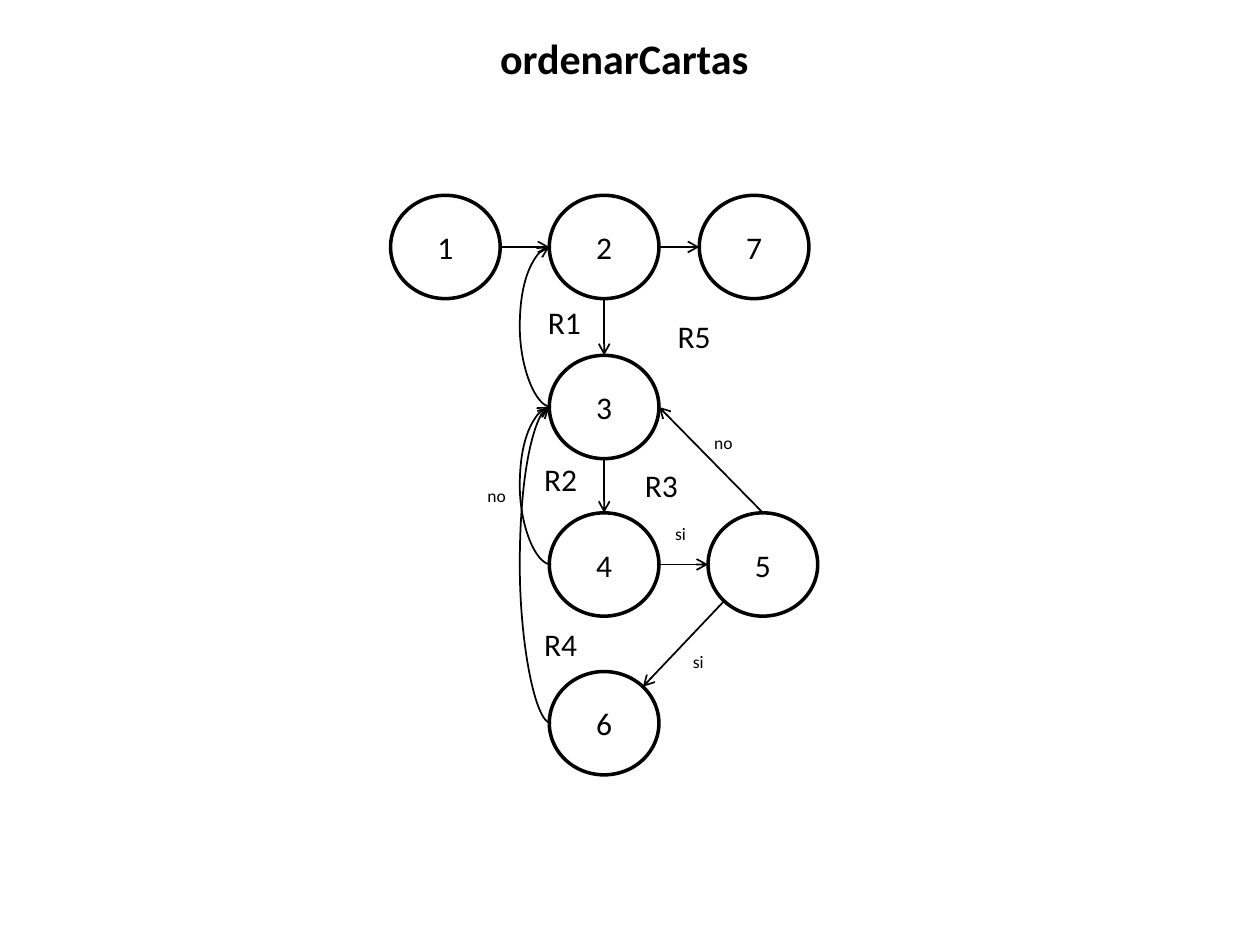
from math import cos, pi, sin

from lxml import etree
from pptx import Presentation
from pptx.dml.color import RGBColor
from pptx.enum.shapes import MSO_CONNECTOR, MSO_SHAPE
from pptx.enum.text import MSO_ANCHOR, MSO_AUTO_SIZE, PP_ALIGN
from pptx.oxml.ns import qn
from pptx.util import Inches, Pt

BLACK = RGBColor(0, 0, 0)
FONT = "Calibri"
NODE_W, NODE_H = 0.87, 0.82

# Left and top of each node of the flow graph
NODES = {
    "1": (3.1, 1.55), "2": (4.36, 1.55), "7": (5.55, 1.55),
    "3": (4.36, 2.82),
    "4": (4.36, 4.07), "5": (5.62, 4.07),
    "6": (4.36, 5.33),
}
# Angles, clockwise from the right, where edges meet a node
RIGHT, LOWER_RIGHT, BOTTOM, LOWER_LEFT, LEFT = 0, 45, 90, 135, 180
TOP, UPPER_RIGHT = 270, 315

STRAIGHT_EDGES = [
    ("1", RIGHT, "2", LEFT), ("2", RIGHT, "7", LEFT),
    ("2", BOTTOM, "3", TOP), ("3", BOTTOM, "4", TOP),
    ("4", RIGHT, "5", LEFT), ("5", LOWER_LEFT, "6", UPPER_RIGHT),
    ("5", TOP, "3", RIGHT),
]
LOOP_BACKS = [("6", "3"), ("4", "3"), ("3", "2")]

BRANCHES = [("si", 5.26, 4.1), ("si", 5.4, 5.12),
            ("no", 5.57, 3.38), ("no", 3.77, 3.8)]
REGIONS = [("R1", 4.25, 2.36), ("R2", 4.22, 3.6), ("R3", 5.02, 3.65),
           ("R4", 4.22, 4.91), ("R5", 5.28, 2.47)]


def style_text(frame, text, size, align, bold=False):
    frame.text = text
    paragraph = frame.paragraphs[0]
    paragraph.alignment = align
    font = paragraph.font
    font.name, font.size, font.bold = FONT, Pt(size), bold
    font.color.rgb = BLACK


def set_title(slide, text):
    title = slide.shapes.title
    title.left, title.top = Inches(1.05), Inches(0.21)
    title.width, title.height = Inches(7.81), Inches(0.5)
    title.text_frame.vertical_anchor = MSO_ANCHOR.TOP
    style_text(title.text_frame, text, 24, PP_ALIGN.CENTER, bold=True)


def add_node(slide, number, left, top):
    node = slide.shapes.add_shape(MSO_SHAPE.OVAL, Inches(left), Inches(top),
                                  Inches(NODE_W), Inches(NODE_H))
    node.shadow.inherit = False
    node.fill.background()
    node.line.color.rgb = BLACK
    node.line.width = Pt(2)
    node.text_frame.vertical_anchor = MSO_ANCHOR.MIDDLE
    style_text(node.text_frame, number, 18, PP_ALIGN.CENTER)


def rim_point(number, angle):
    left, top = NODES[number]
    turn = angle * pi / 180
    return (Inches(left + NODE_W / 2 * (1 + cos(turn))),
            Inches(top + NODE_H / 2 * (1 + sin(turn))))


def add_arrow(slide, kind, start, end):
    arrow = slide.shapes.add_connector(kind, *start, *end)
    arrow.line.color.rgb = BLACK
    arrow.line.width = Pt(1)
    etree.SubElement(arrow.line._get_or_add_ln(), qn("a:tailEnd"), type="arrow")
    etree.SubElement(arrow._element.spPr, qn("a:effectLst"))
    return arrow


def add_loop_back(slide, source, target):
    # The bend is a multiple of the width, so the ends sit one point apart
    x, y = rim_point(source, LEFT)
    curve = add_arrow(slide, MSO_CONNECTOR.CURVE, (x + Pt(1), y),
                      rim_point(target, LEFT))
    adjustments = curve._element.spPr.prstGeom.get_or_add_avLst()
    etree.SubElement(adjustments, qn("a:gd"), name="adj1", fmla="val 1800000")


def add_label(slide, text, left, top, width, height, size):
    label = slide.shapes.add_textbox(Inches(left), Inches(top),
                                     Inches(width), Inches(height))
    label.text_frame.word_wrap = False
    label.text_frame.auto_size = MSO_AUTO_SIZE.SHAPE_TO_FIT_TEXT
    style_text(label.text_frame, text, size, PP_ALIGN.LEFT)


def main():
    prs = Presentation()
    prs.slide_width, prs.slide_height = Inches(10), Inches(7.5)
    slide = prs.slides.add_slide(prs.slide_layouts[5])
    set_title(slide, "ordenarCartas")

    # Flow graph
    for number, (left, top) in NODES.items():
        add_node(slide, number, left, top)
    for source, out_angle, target, in_angle in STRAIGHT_EDGES:
        add_arrow(slide, MSO_CONNECTOR.STRAIGHT, rim_point(source, out_angle),
                  rim_point(target, in_angle))
    for source, target in LOOP_BACKS:
        add_loop_back(slide, source, target)

    # Branch and region labels
    for text, left, top in BRANCHES:
        add_label(slide, text, left, top, 0.29 if text == "si" else 0.35, 0.27, 10)
    for text, left, top in REGIONS:
        add_label(slide, text, left, top, 0.47, 0.4, 18)

    prs.save("out.pptx")


if __name__ == "__main__":
    main()
